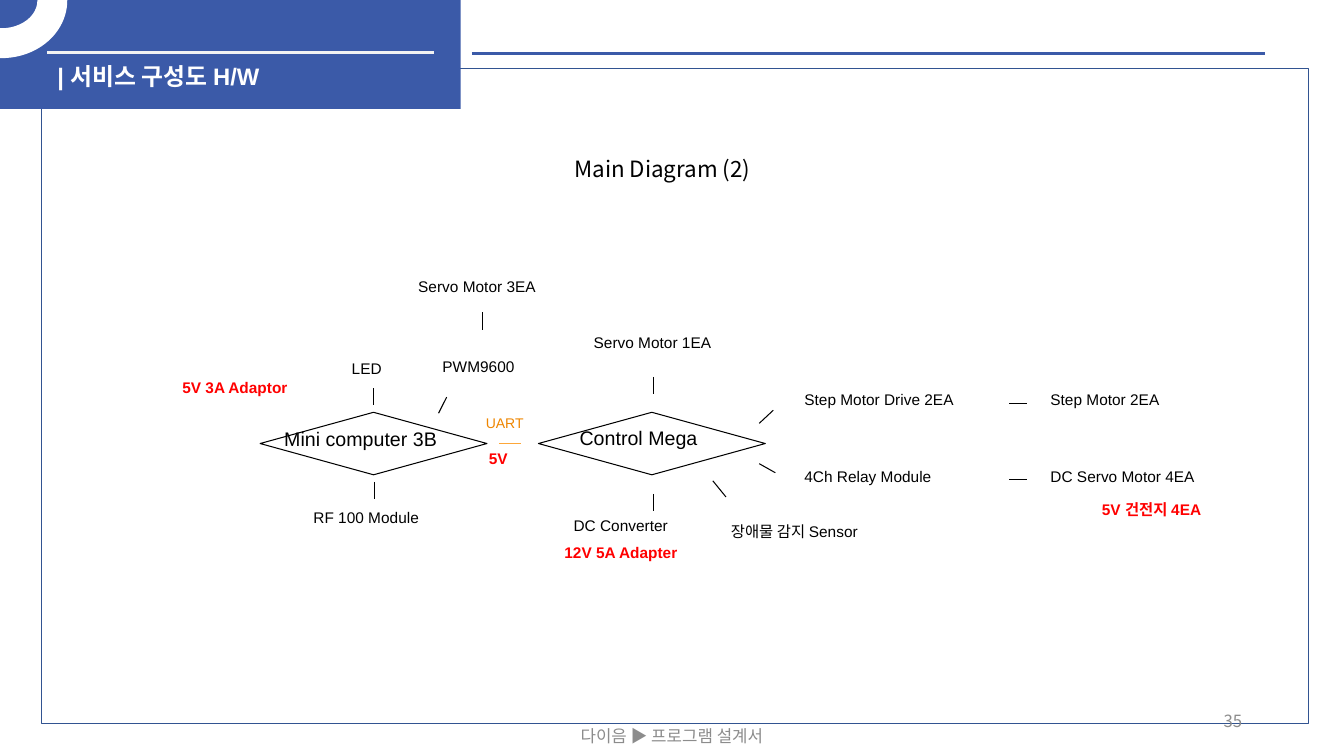
import pptx
import pptx.util
import pptx.dml.color
import pptx.enum.shapes
import pptx.enum.text
import pptx.oxml

Inches = pptx.util.Inches
Pt = pptx.util.Pt
Shape = pptx.enum.shapes.MSO_SHAPE
Align = pptx.enum.text.PP_ALIGN
Anchor = pptx.enum.text.MSO_ANCHOR

COLORS = {
    "blue": "3B5AA8",
    "frame": "325491",
    "white": "FFFFFF",
    "pale": "F2F2F2",
    "black": "000000",
    "gray": "8C8C8C",
    "red": "FF0000",
    "orange": "EF8600",
    "amber": "FDA739",
}
LATIN = "Arial"
KOREAN = "Noto Sans CJK KR"


def color(name):
    return pptx.dml.color.RGBColor.from_string(COLORS[name])


def add_text(page, text, left, top, width, height, size=11, font=LATIN, ink="black",
             bold=False, align=Align.LEFT, anchor=Anchor.TOP):
    box = page.shapes.add_textbox(Inches(left), Inches(top), Inches(width), Inches(height))
    frame = box.text_frame
    frame.word_wrap = True
    frame.vertical_anchor = anchor
    para = frame.paragraphs[0]
    para.alignment = align
    span = para.add_run()
    span.text = text
    span.font.name = font
    span.font.size = Pt(size)
    span.font.bold = bold
    span.font.color.rgb = color(ink)
    return box


def add_figure(page, kind, left, top, width, height, fill=None, line=None, weight=1):
    figure = page.shapes.add_shape(kind, Inches(left), Inches(top), Inches(width), Inches(height))
    figure.shadow.inherit = False
    if fill:
        figure.fill.solid()
        figure.fill.fore_color.rgb = color(fill)
    else:
        figure.fill.background()
    if line:
        figure.line.color.rgb = color(line)
        figure.line.width = Pt(weight)
    else:
        figure.line.fill.background()
    return figure


def add_wire(page, start_x, start_y, end_x, end_y, ink="black", weight=0.75):
    wire = page.shapes.add_connector(
        pptx.enum.shapes.MSO_CONNECTOR.STRAIGHT,
        Inches(start_x), Inches(start_y), Inches(end_x), Inches(end_y))
    wire.line.color.rgb = color(ink)
    wire.line.width = Pt(weight)
    properties = wire._element.spPr
    properties.append(pptx.oxml.parse_xml(
        '<a:effectLst xmlns:a="http://schemas.openxmlformats.org/drawingml/2006/main"/>'))


def add_frame(page, left, top, width, height):
    add_figure(page, Shape.RECTANGLE, left, top, width, height, line="frame")
    add_text(page, "Main Diagram (2)", left + 4.23, top + 0.67, 3.86, 0.65, size=16,
             font=KOREAN, align=Align.CENTER, anchor=Anchor.MIDDLE)


def add_header(page, left, top, width, height):
    add_wire(page, left + width + 0.11, top + 0.54, left + 12.55, top + 0.54, "blue", 2.25)
    add_figure(page, Shape.RECTANGLE, left, top, width, height, fill="blue")
    add_wire(page, left + 0.47, top + 0.53, left + 4.3, top + 0.53, "pale", 2.25)
    ring = add_figure(page, Shape.BLOCK_ARC, left - 0.63, top - 0.55, 1.29, 1.13,
                      fill="white", line="white")
    degree = 0.6
    ring.adjustments[0] = 0
    ring.adjustments[1] = 198.41 * degree
    ring.adjustments[2] = 0.25
    add_text(page, "| 서비스 구성도 H/W", left + 0.47, top + 0.57, 4.09, 0.3,
             size=17, ink="white", bold=True)


def add_board(page, name, left, top, width, height, indent, drop):
    add_figure(page, Shape.FLOWCHART_DECISION, left, top, width, height,
               line="black", weight=0.75)
    add_text(page, name, left + indent, top + drop, 2.62, 0.41, size=14)


def add_diagram(page, left, top, width, height):
    board_top = top + 1.39
    add_board(page, "Mini computer 3B", left + 0.87, board_top, 2.25, 0.62, 0.14, 0.1)
    add_board(page, "Control Mega", left + 3.63, board_top, 2.25, 0.62, 0.31, 0.09)

    add_wire(page, left + 3.24, top + 1.7, left + 3.46, top + 1.7, "amber")
    add_text(page, "UART", left + 3.01, top + 1.36, 1.01, 0.33, size=10, ink="orange")

    parts = [
        ("Servo Motor 3EA", 2.34, 0, 1.8),
        ("LED", 1.68, 0.81, 0.64),
        ("PWM9600", 2.58, 0.79, 1.27),
        ("RF 100 Module", 1.3, 2.29, 1.89),
        ("Servo Motor 1EA", 4.08, 0.56, 1.8),
        ("DC Converter", 3.88, 2.37, 1.65),
        ("장애물 감지 Sensor", 5.44, 2.43, 1.89),
    ]
    for text, x, y, span_width in parts:
        add_text(page, text, left + x, top + y, span_width, 0.35)

    supplies = [
        ("5V 3A Adaptor", 0, 1),
        ("5V", 3.04, 1.71),
        ("12V 5A Adapter", 3.79, 2.64),
        ("5V 건전지 4EA", 9.12, 2.21),
    ]
    for text, x, y in supplies:
        add_text(page, text, left + x, top + y, 1.94, 0.35, ink="red", bold=True)

    for x, y in [(3.08, 0.4), (1.99, 1.15), (2, 2.08), (4.77, 1.04), (4.77, 2.2)]:
        add_wire(page, left + x, top + y, left + x, top + y + 0.17)

    slanted = [
        (2.64, 1.4, 2.72, 1.24),
        (5.82, 1.5, 5.96, 1.37),
        (5.82, 1.9, 5.98, 1.99),
        (5.36, 2.07, 5.49, 2.23),
    ]
    for start_x, start_y, end_x, end_y in slanted:
        add_wire(page, left + start_x, top + start_y, left + end_x, top + end_y)

    chains = [
        ("Step Motor Drive 2EA", "Step Motor 2EA"),
        ("4Ch Relay Module", "DC Servo Motor 4EA"),
    ]
    for row, (driver, motor) in enumerate(chains):
        row_top = top + 1.12 + 0.76 * row
        add_text(page, driver, left + 6.17, row_top, 2.36, 0.35)
        add_wire(page, left + 8.3, row_top + 0.18, left + 8.48, row_top + 0.18)
        add_text(page, motor, left + 8.61, row_top, width - 8.61, 0.35)


def add_footer(page, left, top, width, height):
    style = dict(size=12, font=KOREAN, ink="gray", anchor=Anchor.MIDDLE)
    add_text(page, "다이음 ▶ 프로그램 설계서", left, top + 0.15, 3.17, 0.4,
             align=Align.CENTER, **style)
    add_text(page, "35", left + width - 3, top, 3, 0.4, align=Align.RIGHT, **style)


def main():
    deck = pptx.Presentation()
    deck.slide_width = Inches(13.33)
    deck.slide_height = Inches(7.5)
    page = deck.slides.add_slide(deck.slide_layouts[6])
    add_frame(page, 0.41, 0.68, 12.57, 6.5)
    add_header(page, 0, -0.01, 4.57, 1.09)
    add_diagram(page, 1.71, 2.7, 11.12, 2.99)
    add_footer(page, 5.08, 6.95, 7.34, 0.55)
    deck.save("out.pptx")


if __name__ == "__main__":
    main()
